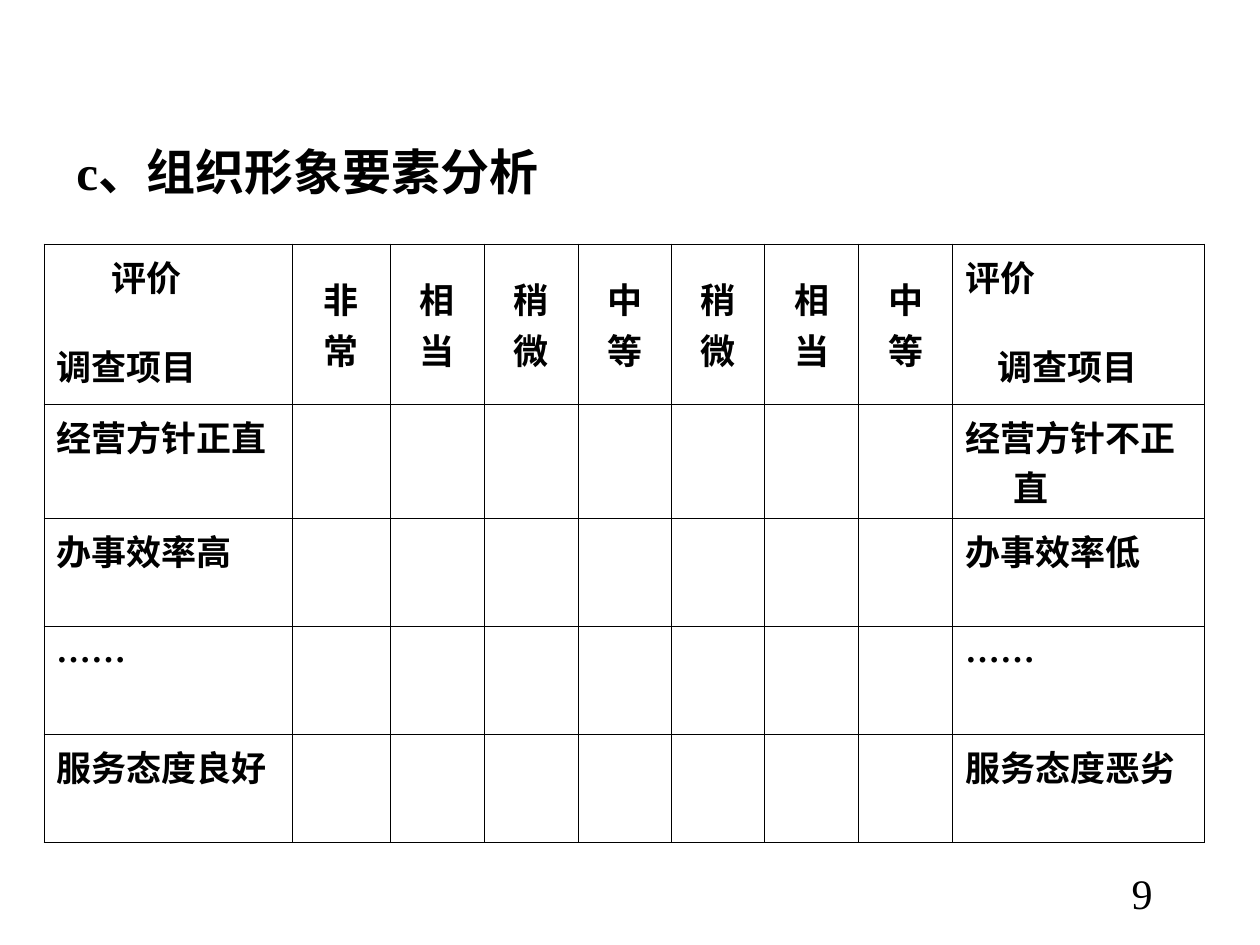
from dataclasses import dataclass

from lxml.etree import SubElement
from pptx import Presentation
from pptx.dml.color import RGBColor
from pptx.enum.text import MSO_ANCHOR as Anchor, PP_ALIGN as Align
from pptx.oxml.ns import qn
from pptx.util import Emu, Pt

PX = 914400 / 126
SANS = "Noto Sans CJK SC"
SERIF = "Times New Roman"
INK = "000000"
HANGING = 48
BORDER = Pt(0.45)

COLUMNS = [248, 98, 94, 94, 94, 93, 94, 94, 252]
ROWS = [160, 114, 108, 108, 108]
SCALE = ["非常", "相当", "稍微", "中等", "稍微", "相当", "中等"]
ITEMS = [
    ("经营方针正直", "经营方针不正直"),
    ("办事效率高", "办事效率低"),
    ("……", "……"),
    ("服务态度良好", "服务态度恶劣"),
]


@dataclass
class Line:
    text: str
    size: int = 20
    font: str = SANS
    bold: bool = True
    align: Align = Align.LEFT
    left: int = 0
    hanging: int = 0
    before: int = 0


@dataclass
class Box:
    left: int
    top: int
    width: int
    height: int
    line: Line


def px(length: int) -> Emu:
    return Emu(round(length * PX))


def color(value: str) -> RGBColor:
    return RGBColor.from_string(value)


def write(frame, lines: list[Line]) -> None:
    frame.word_wrap = True
    for number, line in enumerate(lines):
        para = frame.add_paragraph() if number else frame.paragraphs[0]
        para.alignment = line.align
        para.space_before = Pt(line.before)
        properties = para._p.get_or_add_pPr()
        properties.set("marL", str(px(line.left + line.hanging)))
        properties.set("indent", str(px(-line.hanging)))
        span = para.add_run()
        span.text = line.text
        formats = {"size": Pt(line.size), "bold": line.bold, "name": line.font}
        for name, value in formats.items():
            setattr(span.font, name, value)
        span.font.color.rgb = color(INK)
        SubElement(span._r.get_or_add_rPr(), qn("a:ea"), typeface=SANS)


def add_text(page, box: Box) -> None:
    sides = map(px, (box.left, box.top, box.width, box.height))
    write(page.shapes.add_textbox(*sides).text_frame, [box.line])


def add_borders(cell) -> None:
    properties = cell._tc.get_or_add_tcPr()
    for side in ("lnL", "lnR", "lnT", "lnB"):
        edge = SubElement(properties, qn(f"a:{side}"), w=str(BORDER))
        fill = SubElement(edge, qn("a:solidFill"))
        SubElement(fill, qn("a:srgbClr"), val=INK)


def add_survey(page, left: int, top: int) -> None:
    sides = map(px, (left, top, sum(COLUMNS), sum(ROWS)))
    table = page.shapes.add_table(len(ROWS), len(COLUMNS), *sides).table
    table.first_row = table.horz_banding = False
    for column, width in zip(table.columns, COLUMNS):
        column.width = px(width)
    for row, height in zip(table.rows, ROWS):
        row.height = px(height)
    for cell in table.iter_cells():
        add_borders(cell)
        cell.fill.background()

    last = len(COLUMNS) - 1
    for column, rating_left, item_left in ((0, 55, 0), (last, 0, 32)):
        write(table.cell(0, column).text_frame, [
            Line("评价", left=rating_left),
            Line("调查项目", left=item_left, before=22),
        ])
    for column, label in enumerate(SCALE, start=1):
        cell = table.cell(0, column)
        cell.vertical_anchor = Anchor.MIDDLE
        write(cell.text_frame, [Line(sign, align=Align.CENTER) for sign in label])
    for row, pair in enumerate(ITEMS, start=1):
        for column, text in zip((0, last), pair):
            write(table.cell(row, column).text_frame, [Line(text, hanging=HANGING)])


def main() -> None:
    deck = Presentation()
    deck.slide_width, deck.slide_height = px(1260), px(945)
    page = deck.slides.add_slide(deck.slide_layouts[6])
    title = Line("c、组织形象要素分析", size=28, font=SERIF, hanging=HANGING)
    page_number = Line("9", size=24, font=SERIF, bold=False, align=Align.RIGHT)
    add_text(page, Box(64, 135, 1071, 89, title))
    add_survey(page, 44, 244)
    add_text(page, Box(903, 861, 262, 63, page_number))
    deck.save("out.pptx")


if __name__ == "__main__":
    main()
